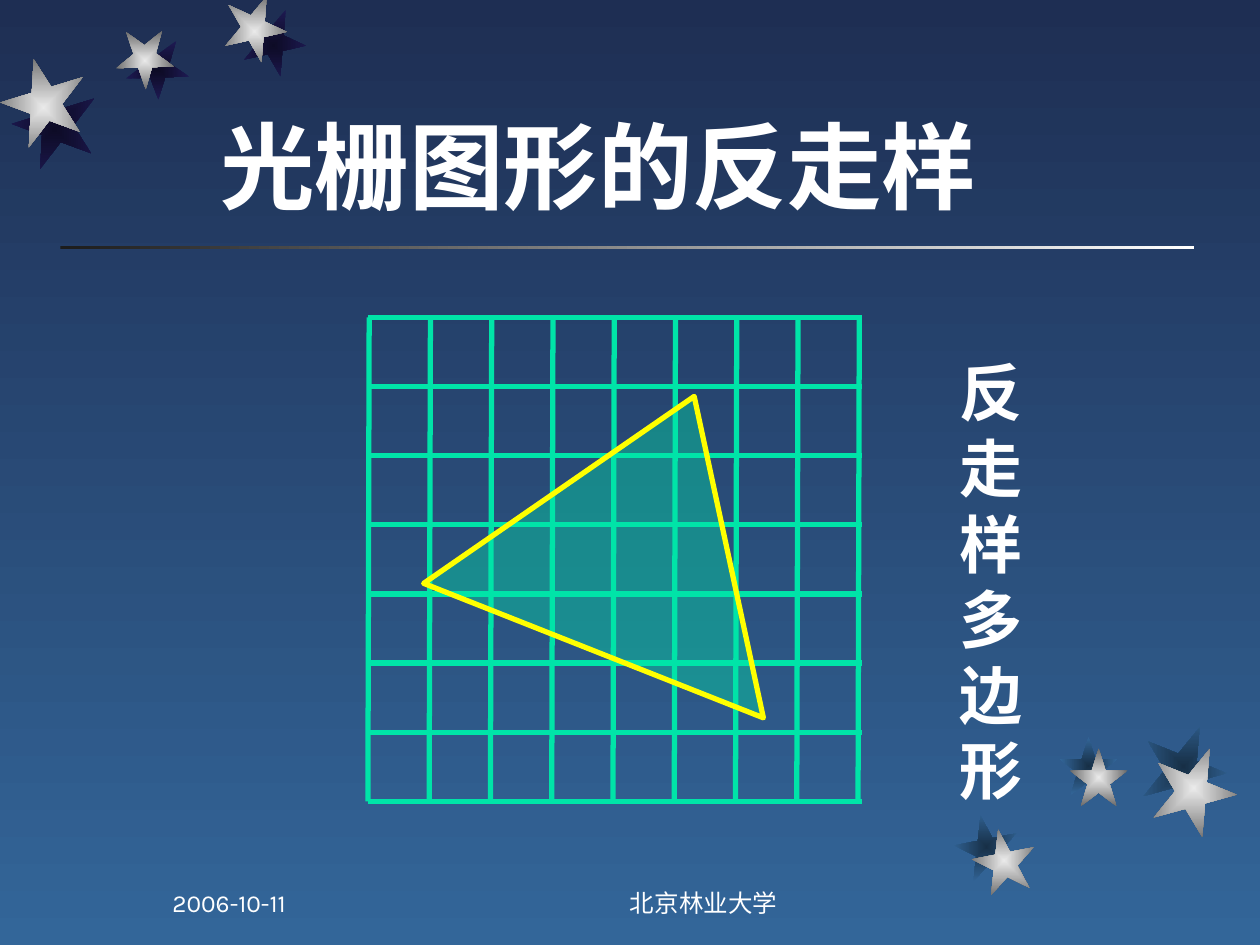
from lxml.etree import SubElement
from pptx import Presentation
from pptx.dml.color import RGBColor
from pptx.enum.shapes import MSO_CONNECTOR as Connector, MSO_SHAPE as Shape
from pptx.enum.text import MSO_ANCHOR as Anchor, PP_ALIGN as Align
from pptx.oxml.ns import qn
from pptx.util import Inches, Pt

COLORS = {
    "night": "1E2E53", "sky": "336699", "white": "FFFFFF", "black": "1C1C1C",
    "silver": "EAEAEA", "steel": "6B6B6B", "ink": "0D0B26", "violet": "1E1A53",
    "deep": "172F46", "grid": "00E4A8", "edge": "FFFF00",
}


class SlideBuilder:
    heading_font = "Karla"
    label_font = "Times New Roman"
    stroke = Pt(3)

    def __init__(self, slide):
        self.slide = slide

    def color(self, name):
        return RGBColor.from_string(COLORS[name])

    def gradient(self, fill, start, end, angle=0):
        fill.gradient()
        fill.gradient_angle = angle
        for stop, name in zip(fill.gradient_stops, (start, end)):
            stop.color.rgb = self.color(name)

    def shape(self, preset, left, top, width, height, rotation=0):
        shape = self.slide.shapes.add_shape(
            preset, Inches(left), Inches(top), Inches(width), Inches(height))
        shape.rotation = rotation
        shape.shadow.inherit = False
        return shape

    def bar(self, left, top, width, height, start, end):
        bar = self.shape(Shape.RECTANGLE, left, top, width, height)
        self.gradient(bar.fill, start, end)
        bar.line.fill.background()

    def star(self, left, top, width, height, rotation, center, rim):
        star = self.shape(Shape.STAR_5_POINT, left, top, width, height, rotation)
        self.gradient(star.fill, center, rim)
        star.line.fill.background()
        grad = star._element.spPr.find(qn("a:gradFill"))
        grad.remove(grad.find(qn("a:lin")))
        radial = SubElement(grad, qn("a:path"), path="rect")
        SubElement(radial, qn("a:fillToRect"),
                   {side: "50000" for side in ("l", "t", "r", "b")})

    def triangle(self, left, top, width, height, rotation, fill, edge, opacity):
        triangle = self.shape(Shape.ISOSCELES_TRIANGLE, left, top, width, height, rotation)
        triangle.fill.solid()
        triangle.fill.fore_color.rgb = self.color(fill)
        tint = triangle._element.spPr.find(qn("a:solidFill"))[0]
        SubElement(tint, qn("a:alpha"), val=str(opacity * 1000))
        triangle.line.color.rgb = self.color(edge)
        triangle.line.width = self.stroke

    def line(self, parent, x1, y1, x2, y2, color):
        line = parent.shapes.add_connector(
            Connector.STRAIGHT, Inches(x1), Inches(y1), Inches(x2), Inches(y2))
        line.line.color.rgb = self.color(color)
        line.line.width = self.stroke
        SubElement(line._element.spPr, qn("a:effectLst"))

    def grid(self, left, top, right, bottom, columns, rows, color):
        group = self.slide.shapes.add_group_shape()
        for column in range(columns + 1):
            x = left + column * (right - left) / columns
            self.line(group, x, top, x - 0.01, bottom, color)
        for row in range(rows + 1):
            y = top + row * (bottom - top) / rows
            self.line(group, left - 0.01, y, right + 0.02, y, color)

    def text(self, words, left, top, width, height, size, font=heading_font,
             bold=False, anchor=Anchor.BOTTOM, align=Align.LEFT):
        box = self.slide.shapes.add_textbox(
            Inches(left), Inches(top), Inches(width), Inches(height))
        frame = box.text_frame
        frame.word_wrap = True
        frame.vertical_anchor = anchor
        paragraph = frame.paragraphs[0]
        paragraph.alignment = align
        run = paragraph.add_run()
        run.text = words
        run.font.name = font
        run.font.size = Pt(size)
        run.font.bold = bold
        run.font.color.rgb = self.color("white")


def main():
    deck = Presentation()
    deck.slide_width, deck.slide_height = Inches(10), Inches(7.5)
    slide = deck.slides.add_slide(deck.slide_layouts[6])
    build = SlideBuilder(slide)
    build.gradient(slide.background.fill, "night", "sky", 270)
    build.bar(0.48, 1.95, 9, 0.03, "black", "white")

    shadow_top, shadow_bottom = ("ink", "violet"), ("deep", "sky")
    metal = ("silver", "steel")
    star_layers = [
        (shadow_top, [(1.92, 0.11, 0.5, 0.5, 167.3), (1, 0.33, 0.5, 0.46, 178.3),
                      (0.1, 0.69, 0.67, 0.67, 200.3)]),
        (metal, [(1.77, 0, 0.5, 0.5, 167.3), (0.92, 0.25, 0.46, 0.46, 178.3),
                 (0.01, 0.52, 0.67, 0.67, 200.3)]),
        (shadow_bottom, [(7.58, 6.47, 0.5, 0.5, 349), (8.41, 5.85, 0.46, 0.46, 0),
                         (9.06, 5.75, 0.67, 0.67, 22)]),
        (metal, [(7.72, 6.58, 0.5, 0.5, 349), (8.49, 5.94, 0.46, 0.46, 0),
                 (9.14, 5.92, 0.67, 0.67, 22)]),
    ]
    for tones, stars in star_layers:
        for placement in stars:
            build.star(*placement, *tones)

    build.text("光栅图形的反走样", 1.65, 0.63, 6.68, 1.18, 54, bold=True)
    build.text("反走样多边形", 7.52, 2.76, 0.78, 3.77, 36,
               font=build.label_font, bold=True, anchor=Anchor.TOP)
    build.grid(2.93, 2.52, 6.82, 6.36, 8, 7, "grid")
    build.triangle(3.66, 3.07, 2.9, 2.17, 21.6, "grid", "edge", 40)
    build.text("北京林业大学", 4, 6.83, 3.17, 0.5, 14, align=Align.CENTER)
    build.text("2006-10-11", 1.27, 6.83, 2.08, 0.5, 14)
    deck.save("out.pptx")


if __name__ == "__main__":
    main()
